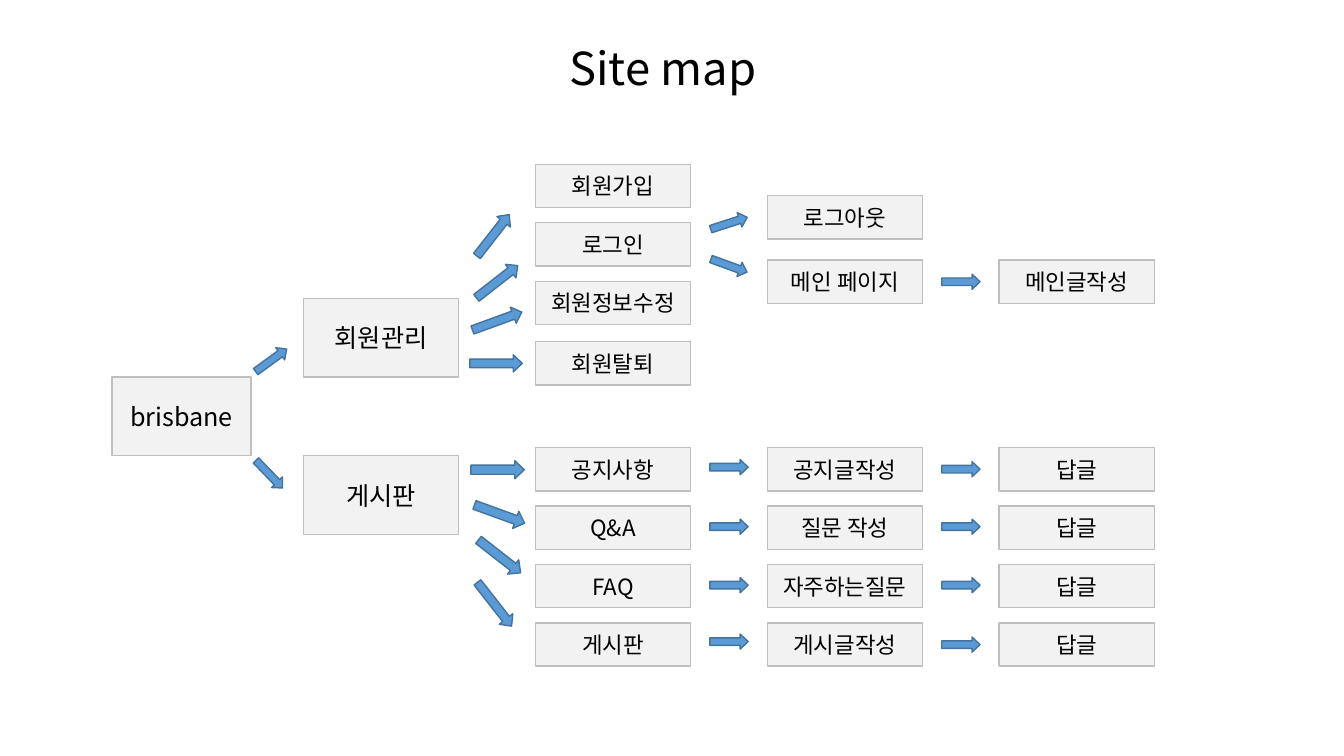
from dataclasses import dataclass

from lxml.etree import SubElement
from pptx import Presentation
from pptx.dml.color import RGBColor
from pptx.enum.shapes import MSO_SHAPE
from pptx.enum.text import MSO_ANCHOR, MSO_AUTO_SIZE, PP_ALIGN
from pptx.oxml.ns import qn
from pptx.slide import Slide
from pptx.text.text import TextFrame
from pptx.util import Emu, Pt


@dataclass(frozen=True)
class Theme:
    font: str = "Noto Sans CJK KR"
    text: str = "000000"
    box_fill: str = "F2F2F2"
    box_line: str = "BFBFBF"
    arrow_fill: str = "5B9BD5"
    arrow_line: str = "43739E"
    title_size: float = 32.4
    section_size: float = 18
    page_size: float = 16
    line_width: float = 1


@dataclass(frozen=True)
class Node:
    text: str
    left: int
    top: int
    width: int = 154
    height: int = 43
    size: float = Theme.page_size


@dataclass(frozen=True)
class Arrow:
    left: int
    top: int
    turn: int = 0
    width: int = 38
    height: int = 15


THEME = Theme()
EMU_PER_PX = 9144  # 100 px to the inch
ACTION_COLUMN, DETAIL_COLUMN, REPLY_COLUMN = 531, 761, 991
BOARD_TOP, BOARD_STEP = 444, 58

# Site, its two sections and the member pages
NODES = [
    Node("brisbane", 111, 374, 138, 78, THEME.section_size),
    Node("회원관리", 301, 296, 154, 78, THEME.section_size),
    Node("게시판", 301, 452, 154, 78, THEME.section_size),
    Node("회원가입", ACTION_COLUMN, 163),
    Node("로그인", ACTION_COLUMN, 221),
    Node("회원정보수정", ACTION_COLUMN, 279),
    Node("회원탈퇴", ACTION_COLUMN, 339),
    Node("로그아웃", DETAIL_COLUMN, 194),
    Node("메인 페이지", DETAIL_COLUMN, 258),
    Node("메인글작성", REPLY_COLUMN, 258),
]

# Board pages, one row per board
BOARDS = [
    ("공지사항", "공지글작성", "답글"),
    ("Q&A", "질문 작성", "답글"),
    ("FAQ", "자주하는질문", "답글"),
    ("게시판", "게시글작성", "답글"),
]
BOARD_NODES = [
    Node(text, left, BOARD_TOP + row * BOARD_STEP)
    for row, board in enumerate(BOARDS)
    for text, left in zip(board, (ACTION_COLUMN, DETAIL_COLUMN, REPLY_COLUMN))
]

ARROWS = [
    # Site to sections
    Arrow(250, 350, 324),
    Arrow(248, 463, 46),
    # Member section to its pages
    Arrow(463, 225, 308, 52, 17),
    Arrow(467, 271, 322, 52, 17),
    Arrow(467, 310, 340, 52, 17),
    Arrow(466, 352, 0, 52, 17),
    # Board section to its pages
    Arrow(467, 457, 0, 53, 18),
    Arrow(469, 501, 20, 53, 18),
    Arrow(469, 543, 38, 53, 18),
    Arrow(463, 591, 52, 55, 17),
    # Login to its pages
    Arrow(704, 214, 342),
    Arrow(704, 256, 20),
    Arrow(934, 272),
    # Along the board rows
    *(Arrow(704, top) for top in (456, 515, 573, 629)),
    *(Arrow(934, top) for top in (458, 515, 573, 632)),
]


def px(length: int) -> Emu:
    return Emu(length * EMU_PER_PX)


def write(frame: TextFrame, text: str, size: float) -> None:
    frame.word_wrap = True
    frame.auto_size = MSO_AUTO_SIZE.NONE
    frame.vertical_anchor = MSO_ANCHOR.MIDDLE
    para = frame.paragraphs[0]
    para.alignment = PP_ALIGN.CENTER
    span = para.add_run()
    span.text = text
    span.font.size = Pt(size)
    span.font.color.rgb = RGBColor.from_string(THEME.text)
    span.font.name = THEME.font
    # Korean letters take the East Asian typeface
    SubElement(span._r.get_or_add_rPr(), qn("a:ea"), typeface=THEME.font)


def add_shape(page: Slide, kind: MSO_SHAPE, item: Node | Arrow, fill: str, line: str):
    shape = page.shapes.add_shape(
        kind, px(item.left), px(item.top), px(item.width), px(item.height)
    )
    shape.shadow.inherit = False
    shape.fill.solid()
    shape.fill.fore_color.rgb = RGBColor.from_string(fill)
    shape.line.color.rgb = RGBColor.from_string(line)
    shape.line.width = Pt(THEME.line_width)
    return shape


def add_node(page: Slide, node: Node) -> None:
    box = add_shape(page, MSO_SHAPE.RECTANGLE, node, THEME.box_fill, THEME.box_line)
    write(box.text_frame, node.text, node.size)


def add_arrow(page: Slide, arrow: Arrow) -> None:
    shape = add_shape(
        page, MSO_SHAPE.RIGHT_ARROW, arrow, THEME.arrow_fill, THEME.arrow_line
    )
    shape.adjustments[0] = 0.5
    shape.adjustments[1] = 0.525
    shape.rotation = arrow.turn


def add_title(page: Slide, text: str) -> None:
    title = page.shapes.title
    title.left, title.top = px(73), px(40)
    title.width, title.height = px(1169), px(54)
    write(title.text_frame, text, THEME.title_size)


def main() -> None:
    deck = Presentation()
    deck.slide_width, deck.slide_height = px(1333), px(750)
    page = deck.slides.add_slide(deck.slide_layouts[5])
    add_title(page, "Site map")
    for node in NODES + BOARD_NODES:
        add_node(page, node)
    for arrow in ARROWS:
        add_arrow(page, arrow)
    deck.save("out.pptx")


if __name__ == "__main__":
    main()
